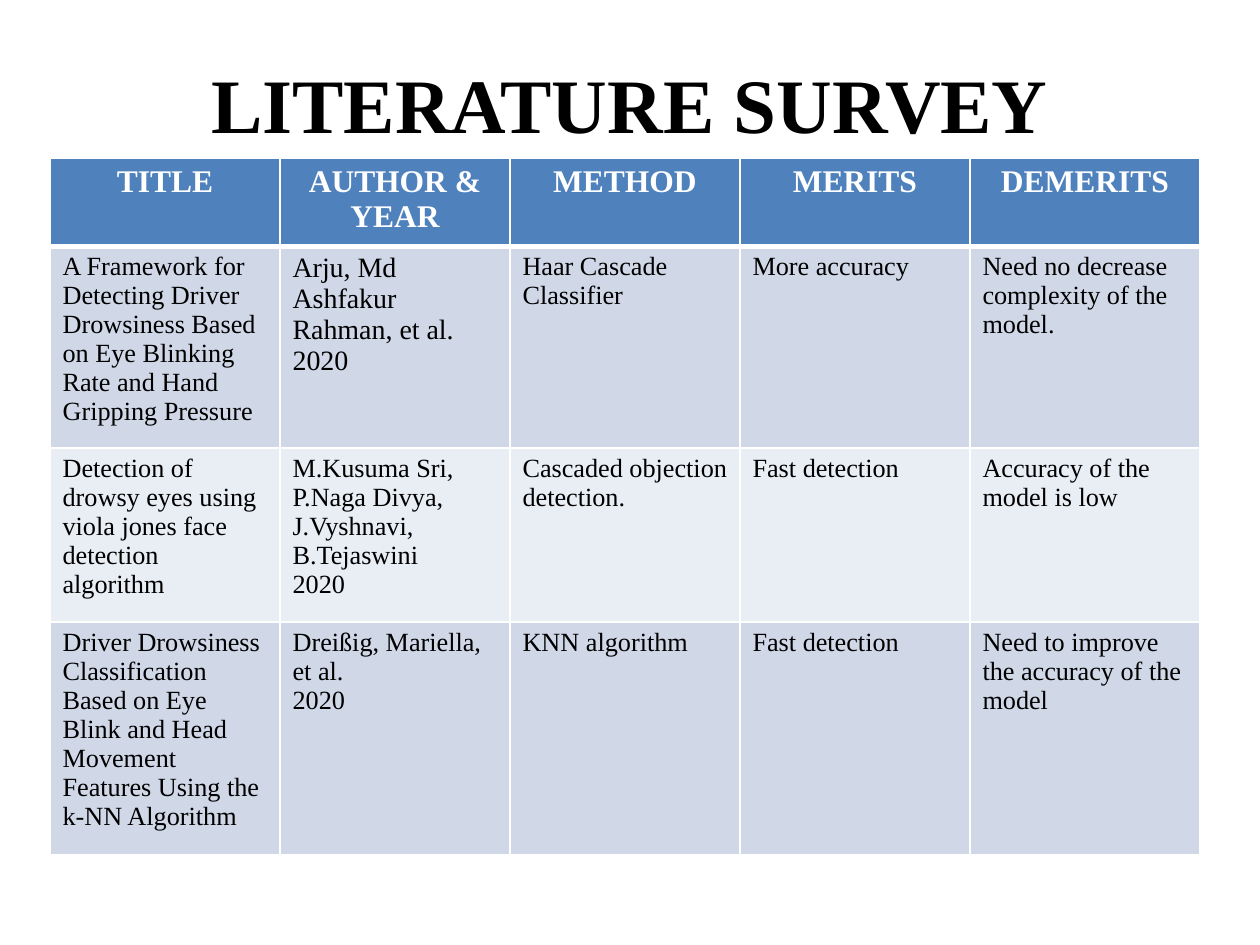
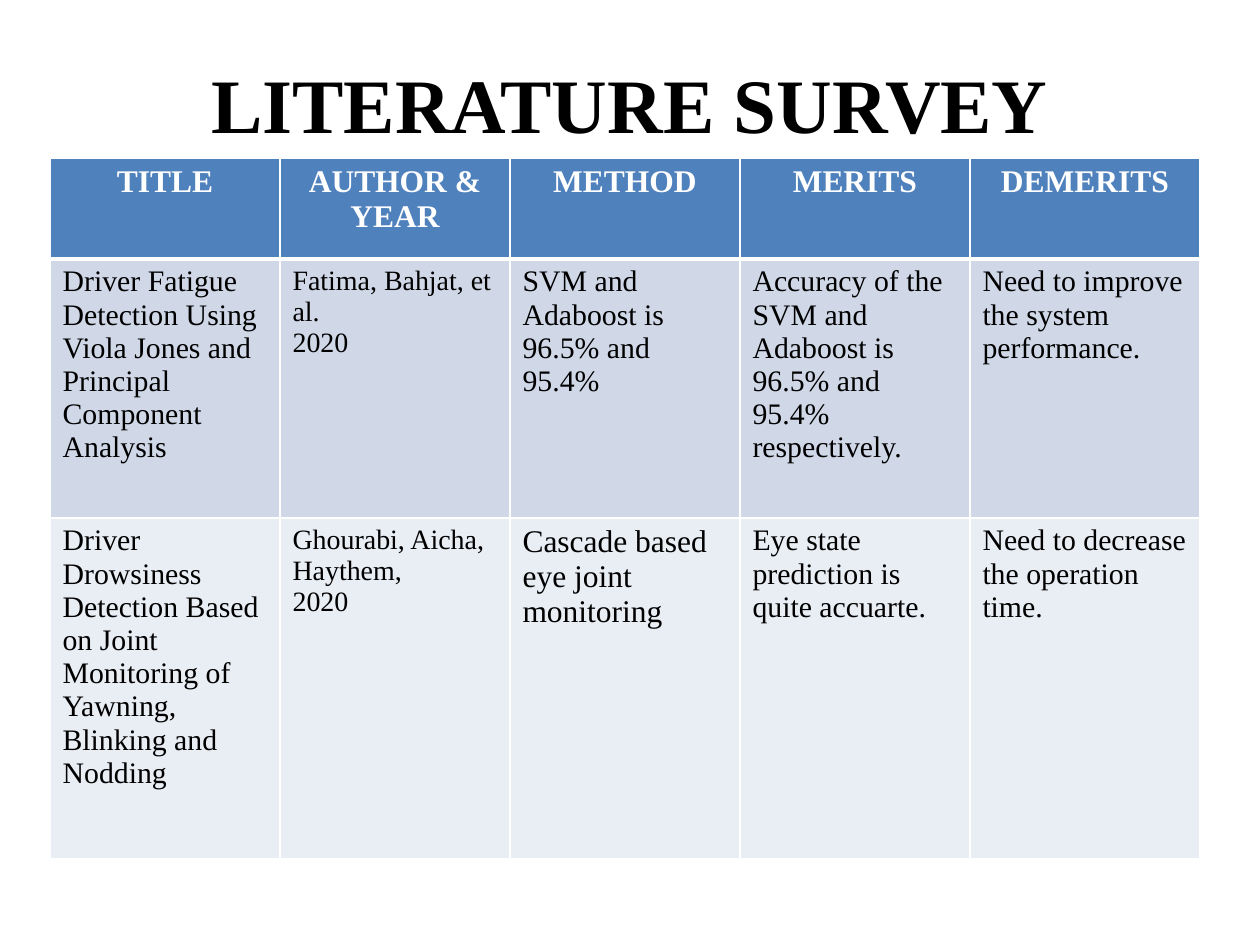
from dataclasses import dataclass

import lxml.etree
import pptx
import pptx.dml.color
import pptx.enum.text
import pptx.oxml.ns
import pptx.util


@dataclass(frozen=True)
class Theme:
    """Colours, font and type sizes shared by the slides."""

    font: str = "Times New Roman"
    ink: str = "000000"
    paper: str = "FFFFFF"
    header_fill: str = "4F81BD"
    bands: tuple = ("D0D8E8", "E9EDF4")
    title_size: int = 44
    header_size: int = 18
    large_size: int = 18
    medium_size: int = 17
    author_size: int = 16
    small_size: int = 15
    thin_border: int = 1
    thick_border: int = 3


THEME = Theme()
PIXELS_PER_INCH = 126
SLIDE_BOX = (0, 0, 1260, 945)
TITLE_BOX = (63, 38, 1134, 130)
TABLE_CORNER = (50, 158)
COLUMN_WIDTH = 230
TITLE = "LITERATURE SURVEY"
HEADERS = ("TITLE", "AUTHOR & YEAR", "METHOD", "MERITS", "DEMERITS")

SURVEYS = (
    {
        "heights": (88, 187, 174, 215),
        "body_size": THEME.small_size,
        "special_sizes": {(1, 1): THEME.author_size},
        "studies": (
            (
                "A Framework for Detecting Driver Drowsiness Based on Eye Blinking Rate and Hand Gripping Pressure",
                "Arju, Md Ashfakur Rahman, et al.\n2020",
                "Haar Cascade Classifier",
                "More accuracy",
                "Need no decrease complexity of the model.",
            ),
            (
                "Detection of drowsy eyes using viola jones face detection algorithm",
                "M.Kusuma Sri, P.Naga Divya, J.Vyshnavi, B.Tejaswini\n2020",
                "Cascaded objection detection.",
                "Fast detection",
                "Accuracy of the model is low",
            ),
            (
                "Driver Drowsiness Classification Based on Eye Blink and Head Movement Features Using the k-NN Algorithm",
                "Dreißig, Mariella, et al.\n2020",
                "KNN algorithm",
                "Fast detection",
                "Need to improve the accuracy of the model",
            ),
        ),
    },
    {
        "heights": (101, 259, 341),
        "body_size": THEME.medium_size,
        "special_sizes": {
            (1, 1): THEME.author_size,
            (2, 1): THEME.author_size,
            (2, 2): THEME.large_size,
        },
        "studies": (
            (
                "Driver Fatigue Detection Using Viola Jones and Principal Component Analysis",
                "Fatima, Bahjat, et al.\n2020",
                "SVM and Adaboost is 96.5% and 95.4%",
                "Accuracy of the SVM and Adaboost is 96.5% and 95.4% respectively.",
                "Need to improve the system performance.",
            ),
            (
                "Driver Drowsiness Detection Based on Joint Monitoring of Yawning, Blinking and Nodding",
                "Ghourabi, Aicha, Haythem,\n2020",
                "Cascade based eye joint monitoring",
                "Eye state prediction is quite accuarte.",
                "Need to decrease the operation time.",
            ),
        ),
    },
)


def px(length):
    """Turn a length in pixels into EMU."""
    return pptx.util.Emu(round(length * 914400 / PIXELS_PER_INCH))


def rgb(value):
    """Turn a hexadecimal string into a colour."""
    return pptx.dml.color.RGBColor.from_string(value)


def write_text(text_frame, text, size, colour, bold=False, centred=False):
    """Put text in a frame and format its paragraphs and runs."""
    text_frame.text = text
    for paragraph in text_frame.paragraphs:
        if centred:
            paragraph.alignment = pptx.enum.text.PP_ALIGN.CENTER
        for run in paragraph.runs:
            run.font.name = THEME.font
            run.font.size = pptx.util.Pt(size)
            run.font.bold = bold
            run.font.color.rgb = rgb(colour)


def add_title(slide, box):
    """Add the centred slide title within the box."""
    shape = slide.shapes.add_textbox(*map(px, box))
    text_frame = shape.text_frame
    text_frame.word_wrap = True
    text_frame.vertical_anchor = pptx.enum.text.MSO_ANCHOR.MIDDLE
    write_text(text_frame, TITLE, THEME.title_size, THEME.ink, bold=True, centred=True)


def set_borders(cell, top, bottom):
    """Draw the four cell borders, given the top and bottom widths in points."""
    properties = cell._tc.get_or_add_tcPr()
    widths = {"L": THEME.thin_border, "R": THEME.thin_border, "T": top, "B": bottom}
    for side, width in widths.items():
        line = lxml.etree.SubElement(
            properties, pptx.oxml.ns.qn(f"a:ln{side}"), w=str(pptx.util.Pt(width))
        )
        fill = lxml.etree.SubElement(line, pptx.oxml.ns.qn("a:solidFill"))
        lxml.etree.SubElement(fill, pptx.oxml.ns.qn("a:srgbClr"), val=THEME.paper)


def fill_cell(cell, colour):
    """Give a cell a solid fill."""
    cell.fill.solid()
    cell.fill.fore_color.rgb = rgb(colour)


def add_survey_table(slide, corner, survey):
    """Add the table of studies with its top left at the corner."""
    rows = (HEADERS, *survey["studies"])
    heights = survey["heights"]
    box = (*corner, COLUMN_WIDTH * len(HEADERS), sum(heights))
    table = slide.shapes.add_table(len(rows), len(HEADERS), *map(px, box)).table
    for column in table.columns:
        column.width = px(COLUMN_WIDTH)
    for row_index, texts in enumerate(rows):
        table.rows[row_index].height = px(heights[row_index])
        is_header = row_index == 0
        top = THEME.thick_border if row_index == 1 else THEME.thin_border
        bottom = THEME.thick_border if is_header else THEME.thin_border
        for column_index, text in enumerate(texts):
            cell = table.cell(row_index, column_index)
            set_borders(cell, top, bottom)
            if is_header:
                fill_cell(cell, THEME.header_fill)
                write_text(cell.text_frame, text, THEME.header_size, THEME.paper, bold=True, centred=True)
            else:
                fill_cell(cell, THEME.bands[(row_index - 1) % len(THEME.bands)])
                size = survey["special_sizes"].get((row_index, column_index), survey["body_size"])
                write_text(cell.text_frame, text, size, THEME.ink)


def add_survey_slide(presentation, survey):
    """Add one literature survey slide."""
    slide = presentation.slides.add_slide(presentation.slide_layouts[6])
    add_title(slide, TITLE_BOX)
    add_survey_table(slide, TABLE_CORNER, survey)


def main():
    """Build and save the presentation."""
    presentation = pptx.Presentation()
    presentation.slide_width, presentation.slide_height = map(px, SLIDE_BOX[2:])
    for survey in SURVEYS:
        add_survey_slide(presentation, survey)
    presentation.save("out.pptx")


if __name__ == "__main__":
    main()
